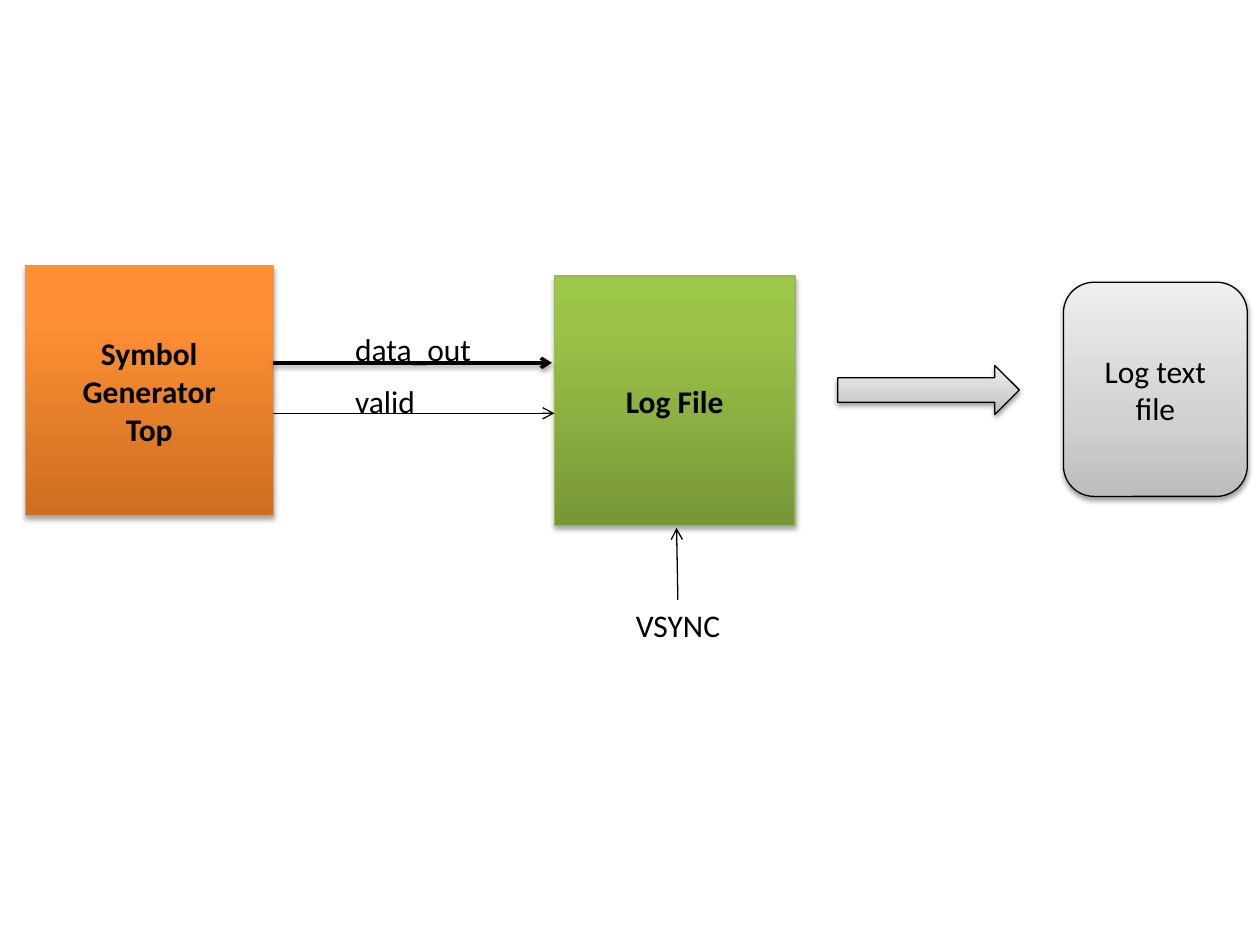
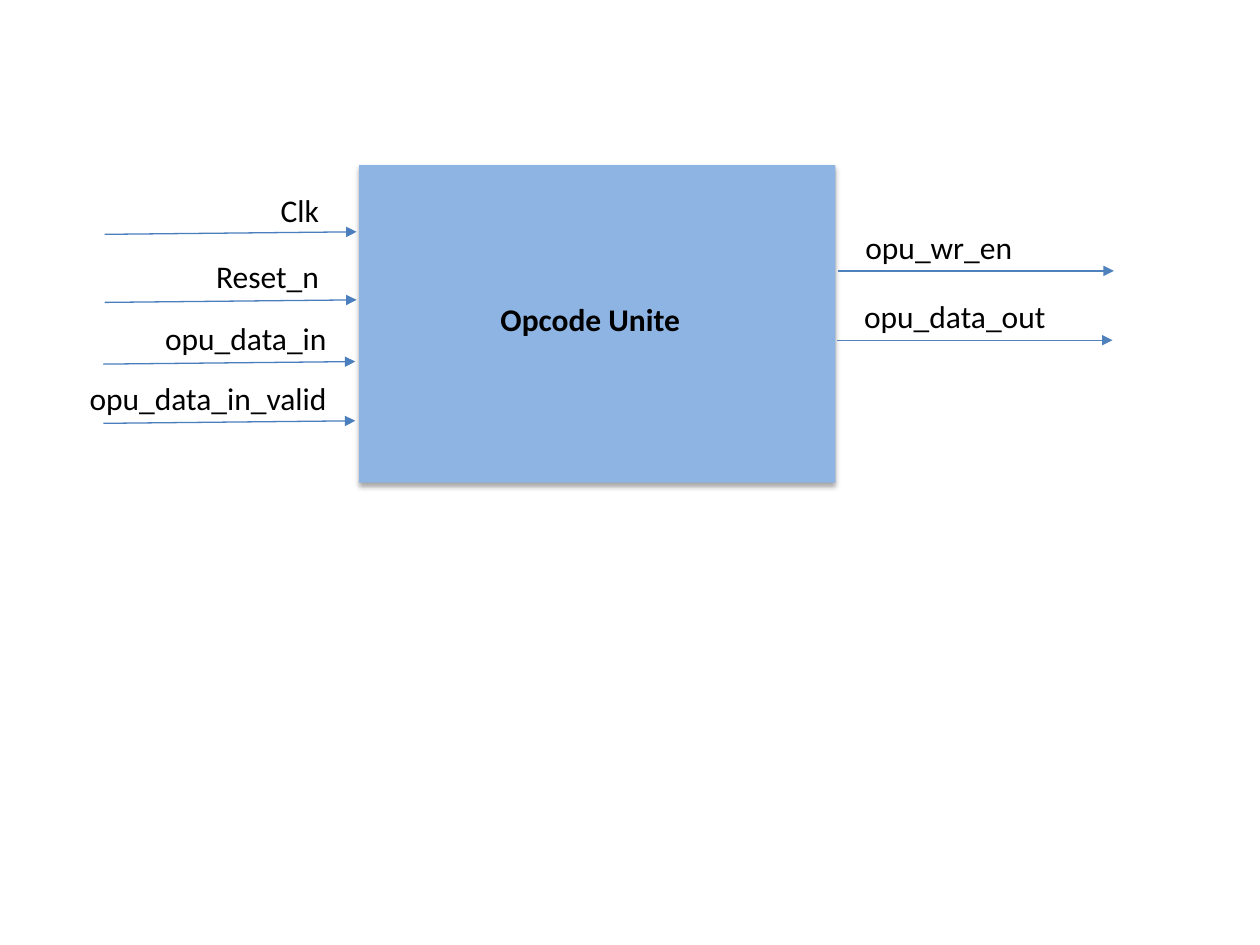
import pptx
import pptx.dml.color
import pptx.enum.dml
import pptx.enum.shapes
import pptx.enum.text
import pptx.oxml
import pptx.oxml.ns
import pptx.util
from lxml import etree

Inches = pptx.util.Inches
SHAPES = pptx.enum.shapes.MSO_SHAPE
ALIGN = pptx.enum.text.PP_ALIGN
qn = pptx.oxml.ns.qn

COLOURS = {
    "black": "000000",
    "orange line": "F69240",
    "green line": "98B955",
    "block blue": "8EB4E3",
    "input blue": "4B7EBC",
    "output blue": "4F81BD",
}
# Gradient stops run from the bottom edge to the top edge.
GRADIENTS = {
    "orange": [(0, "CC6E20"), (80, "FF9034"), (100, "FF9136")],
    "green": [(0, "779737"), (80, "9BC348"), (100, "9DC746")],
    "grey": [(0, "BDBDBD"), (35, "D1D1D1"), (100, "EEEEEE")],
}
# Each shadow is (opacity in percent, distance in points).
BLOCK_SHADOW = (35, 1.8)
SOFT_SHADOW = (38, 1.6)


def colour(name):
    """Return the named palette colour."""
    return pptx.dml.color.RGBColor.from_string(COLOURS[name])


def write_text(frame, text, align=ALIGN.LEFT, bold=False, size=18):
    """Fill a text frame, one paragraph for each line of text."""
    frame.word_wrap = True
    for index, line in enumerate(text.split("\n")):
        para = frame.paragraphs[0] if index == 0 else frame.add_paragraph()
        para.alignment = align
        span = para.add_run()
        span.text = line
        span.font.name = "Calibri"
        span.font.size = pptx.util.Pt(size)
        span.font.bold = bold
        span.font.color.rgb = colour("black")


def set_shadow(item, shadow=None):
    """Replace the theme shadow by the given one, or by none."""
    properties = item._element.spPr
    effects = etree.SubElement(properties, qn("a:effectLst"))
    if shadow:
        opacity, distance = shadow
        outer = etree.SubElement(
            effects, qn("a:outerShdw"), blurRad=str(pptx.util.Pt(3.1)),
            dist=str(pptx.util.Pt(distance)), dir="5400000", rotWithShape="0")
        tint = etree.SubElement(outer, qn("a:srgbClr"), val=COLOURS["black"])
        etree.SubElement(tint, qn("a:alpha"), val=str(opacity * 1000))


def set_gradient(shape, stops):
    """Fill a shape with an upward gradient of any number of stops."""
    shape.fill.gradient()
    shape.fill.gradient_angle = 90
    stop_list = shape._element.spPr.find(".//" + qn("a:gsLst"))
    for old_stop in list(stop_list):
        stop_list.remove(old_stop)
    for position, value in stops:
        stop = etree.SubElement(stop_list, qn("a:gs"), pos=str(position * 1000))
        etree.SubElement(stop, qn("a:srgbClr"), val=value)


class Diagram:
    """Block diagram style together with the slide being drawn."""

    def __init__(self, deck):
        """Keep the deck."""
        self.deck = deck
        self.slide = None

    def new_slide(self):
        """Start a blank slide."""
        self.slide = self.deck.slides.add_slide(self.deck.slide_layouts[6])

    def block(self, place, text="", kind=SHAPES.RECTANGLE, gradient=None,
              fill=None, line=None, shadow=BLOCK_SHADOW, bold=False):
        """Draw a filled preset shape with centred text."""
        shape = self.slide.shapes.add_shape(kind, *map(Inches, place))
        if gradient:
            set_gradient(shape, GRADIENTS[gradient])
        else:
            shape.fill.solid()
            shape.fill.fore_color.rgb = colour(fill)
        if line:
            shape.line.color.rgb = colour(line)
            shape.line.width = pptx.util.Pt(0.75)
        else:
            shape.line.fill.background()
        set_shadow(shape, shadow)
        if text:
            shape.text_frame.vertical_anchor = pptx.enum.text.MSO_ANCHOR.MIDDLE
            write_text(shape.text_frame, text, align=ALIGN.CENTER, bold=bold)

    def label(self, left, top, width, text, **text_format):
        """Write a one-line label."""
        box = self.slide.shapes.add_textbox(
            Inches(left), Inches(top), Inches(width), Inches(0.4))
        write_text(box.text_frame, text, **text_format)
        box.text_frame.auto_size = pptx.enum.text.MSO_AUTO_SIZE.SHAPE_TO_FIT_TEXT

    def arrow(self, start, end, line="black", width=0.75, head="arrow", shadow=None):
        """Draw a straight line with a head at its end."""
        connector = self.slide.shapes.add_connector(
            pptx.enum.shapes.MSO_CONNECTOR.STRAIGHT, *map(Inches, start + end))
        connector.line.color.rgb = colour(line)
        connector.line.width = pptx.util.Pt(width)
        etree.SubElement(connector.line._get_or_add_ln(), qn("a:tailEnd"), type=head)
        set_shadow(connector, shadow)


def draw_log_flow(diagram):
    """Draw the path from the symbol generator to the log text file."""
    diagram.new_slide()
    diagram.block((0.2, 2.11, 1.97, 1.98), "Symbol Generator\nTop",
                  gradient="orange", line="orange line", bold=True)
    diagram.block((4.4, 2.19, 1.91, 1.98), "Log File",
                  gradient="green", line="green line", bold=True)
    diagram.arrow((2.17, 3.28), (4.4, 3.28))
    diagram.label(2.72, 2.98, 1.12, "valid")
    diagram.arrow((2.17, 2.88), (4.38, 2.88), width=2, shadow=SOFT_SHADOW)
    diagram.label(2.72, 2.57, 1.26, "data_out")
    grey_style = {"gradient": "grey", "line": "black", "shadow": SOFT_SHADOW}
    diagram.block((8.44, 2.24, 1.46, 1.7), "Log text file",
                  kind=SHAPES.ROUNDED_RECTANGLE, **grey_style)
    diagram.block((6.65, 2.9, 1.44, 0.39), kind=SHAPES.RIGHT_ARROW, **grey_style)
    diagram.arrow((5.38, 4.76), (5.37, 4.19))
    diagram.label(4.82, 4.76, 1.12, "VSYNC", align=ALIGN.CENTER)


def draw_opcode_unit(diagram):
    """Draw the opcode block with its input and output signals."""
    diagram.new_slide()
    diagram.block((2.85, 1.31, 3.78, 2.52), fill="block blue")
    diagram.label(3.35, 2.33, 2.67, "Opcode Unite", align=ALIGN.CENTER, bold=True)

    inputs = [  # name, label left, label top, arrow left, arrow top
        ("Clk", 0.43, 1.47, 0.83, 1.84),
        ("Reset_n", 0.43, 1.99, 0.83, 2.38),
        ("opu_data_in", 0.49, 2.48, 0.82, 2.87),
        ("opu_data_in_valid", 0.49, 2.96, 0.82, 3.34),
    ]
    for name, label_left, label_top, left, top in inputs:
        diagram.label(label_left, label_top, 2.2, name, align=ALIGN.RIGHT)
        diagram.arrow((left, top + 0.02), (left + 2, top),
                      line="input blue", head="triangle")

    outputs = [  # name, label left, label top, label width, arrow left, arrow top
        ("opu_wr_en", 6.77, 1.76, 2.6, 6.65, 2.15),
        ("opu_data_out", 6.76, 2.31, 3.2, 6.64, 2.7),
    ]
    for name, label_left, label_top, label_width, left, top in outputs:
        diagram.label(label_left, label_top, label_width, name)
        diagram.arrow((left, top), (left + 2.19, top),
                      line="output blue", head="triangle")


def main():
    """Build and save the deck."""
    deck = pptx.Presentation()
    deck.slide_width = Inches(10)
    deck.slide_height = Inches(7.5)
    diagram = Diagram(deck)
    draw_log_flow(diagram)
    draw_opcode_unit(diagram)
    deck.save("out.pptx")


main()
